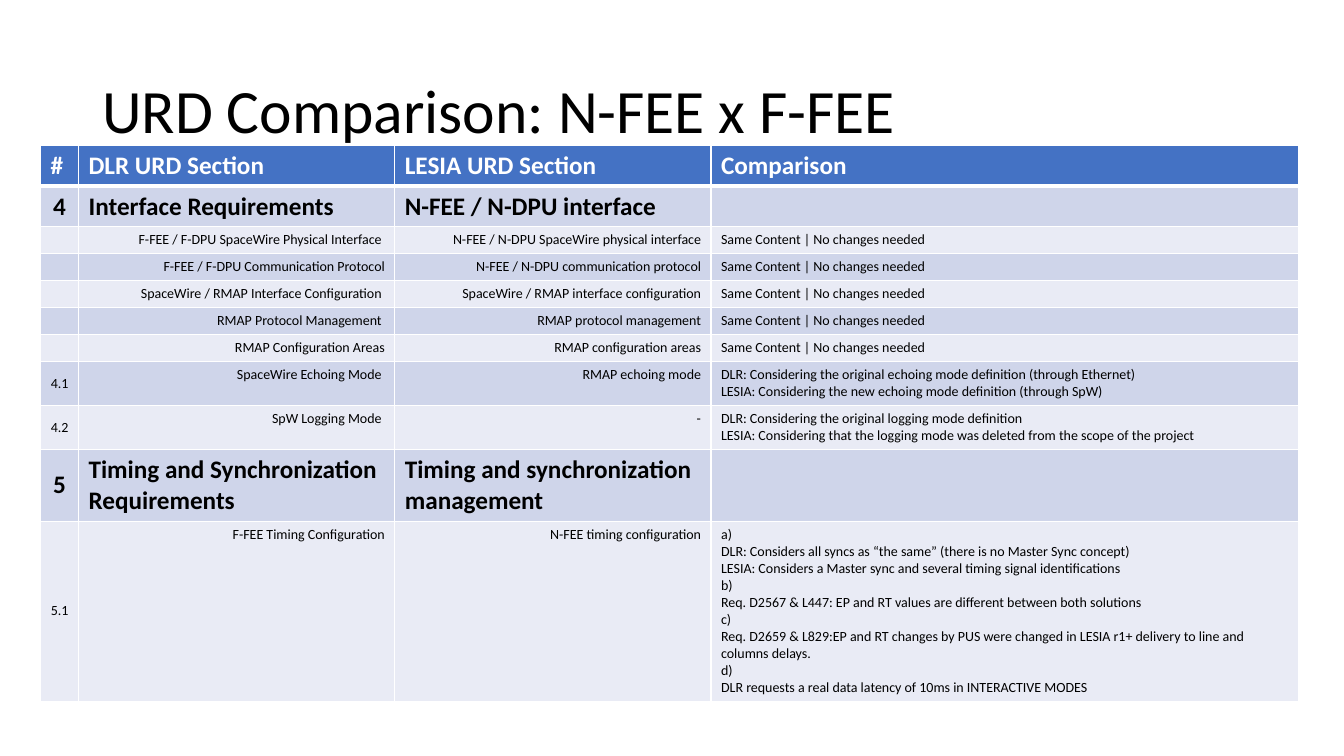
"""Builds the slide comparing the N-FEE and F-FEE user requirements documents."""
from lxml import etree
from pptx import Presentation
from pptx.dml.color import RGBColor
from pptx.enum import text
from pptx.oxml import ns
from pptx.util import Pt


def color(hex_code):
    return RGBColor.from_string(hex_code)


def add_border(cell, side, width):
    line = etree.SubElement(cell._tc.get_or_add_tcPr(), ns.qn(f"a:ln{side}"), w=str(Pt(width)))
    fill = etree.SubElement(line, ns.qn("a:solidFill"))
    etree.SubElement(fill, ns.qn("a:srgbClr"), val="FFFFFF")


SAME = "Same Content | No changes needed"
HEADER, SECTION, ITEM = "header", "section", "item"
requirements = [
    (HEADER, 29, "#", "DLR URD Section", "LESIA URD Section", "Comparison"),
    (SECTION, 28.8, "4", "Interface Requirements", "N-FEE / N-DPU interface", ""),
    (ITEM, 19.3, "", "F-FEE / F-DPU SpaceWire Physical Interface ",
     "N-FEE / N-DPU SpaceWire physical interface", SAME),
    (ITEM, 19.3, "", "F-FEE / F-DPU Communication Protocol",
     "N-FEE / N-DPU communication protocol", SAME),
    (ITEM, 19.3, "", "SpaceWire / RMAP Interface Configuration ",
     "SpaceWire / RMAP interface configuration", SAME),
    (ITEM, 19.3, "", "RMAP Protocol Management ", "RMAP protocol management", SAME),
    (ITEM, 19.3, "", "RMAP Configuration Areas", "RMAP configuration areas", SAME),
    (ITEM, 31.4, "4.1", "SpaceWire Echoing Mode ", "RMAP echoing mode",
     "DLR: Considering the original echoing mode definition (through Ethernet)\n"
     "LESIA: Considering the new echoing mode definition (through SpW)"),
    (ITEM, 31.4, "4.2", "SpW Logging Mode ", "-",
     "DLR: Considering the original logging mode definition\n"
     "LESIA: Considering that the logging mode was deleted from the scope of the project"),
    (SECTION, 51.4, "5", "Timing and Synchronization Requirements",
     "Timing and synchronization management", ""),
    (ITEM, 128.6, "5.1", "F-FEE Timing Configuration", "N-FEE timing configuration",
     "a)\n"
     "DLR: Considers all syncs as “the same” (there is no Master Sync concept)\n"
     "LESIA: Considers a Master sync and several timing signal identifications\n"
     "b)\n"
     "Req. D2567 & L447: EP and RT values are different between both solutions\n"
     "c)\n"
     "Req. D2659 & L829:EP and RT changes by PUS were changed in LESIA r1+ delivery "
     "to line and columns delays.\n"
     "d)\n"
     "DLR requests a real data latency of 10ms in INTERACTIVE MODES"),
]
formats = {
    HEADER: {"name": "Calibri", "size": Pt(18), "bold": True},
    SECTION: {"name": "Calibri", "size": Pt(18), "bold": True},
    ITEM: {"name": "Calibri", "size": Pt(10), "bold": False},
}
item_aligns = [text.PP_ALIGN.CENTER, text.PP_ALIGN.RIGHT, text.PP_ALIGN.RIGHT, text.PP_ALIGN.LEFT]
column_widths = [27.1, 225.9, 225.9, 420]

prs = Presentation()
prs.slide_width, prs.slide_height = Pt(960), Pt(540)
slide = prs.slides.add_slide(prs.slide_layouts[6])

title = slide.shapes.add_textbox(Pt(66), Pt(28.75), Pt(828), Pt(104.4)).text_frame
title.word_wrap = True
title.vertical_anchor = text.MSO_ANCHOR.MIDDLE
heading = title.paragraphs[0]
heading.line_spacing = 0.9
heading_run = heading.add_run()
heading_run.text = "URD Comparison: N-FEE x F-FEE"
heading_run.font.name = "Calibri"
heading_run.font.size = Pt(44)
heading_run.font.color.rgb = color("000000")

row_heights = [row[1] for row in requirements]
comparison = slide.shapes.add_table(
    len(requirements), len(column_widths),
    Pt(29), Pt(103.9), Pt(sum(column_widths)), Pt(sum(row_heights))).table
for column, width in zip(comparison.columns, column_widths):
    column.width = Pt(width)

for r, (level, height, *entries) in enumerate(requirements):
    comparison.rows[r].height = Pt(height)
    for c, entry in enumerate(entries):
        cell = comparison.cell(r, c)
        for side in "LRTB":
            under_header = (r, side) in [(0, "B"), (1, "T")]
            add_border(cell, side, 3 if under_header else 1)
        cell.fill.solid()
        banding = "CFD5EA" if r % 2 else "E9EBF5"
        cell.fill.fore_color.rgb = color("4472C4" if level == HEADER else banding)
        if c == 0 and level != HEADER:
            cell.vertical_anchor = text.MSO_ANCHOR.MIDDLE
        cell.text = entry
        for paragraph in cell.text_frame.paragraphs:
            if level == ITEM:
                paragraph.alignment = item_aligns[c]
            elif level == SECTION and c == 0:
                paragraph.alignment = text.PP_ALIGN.CENTER
            if not entry:
                size = formats[level]["size"].pt
                etree.SubElement(paragraph._p, ns.qn("a:endParaRPr"), sz=str(int(size * 100)))
            for run in paragraph.runs:
                for attribute, value in formats[level].items():
                    setattr(run.font, attribute, value)
                run.font.color.rgb = color("FFFFFF" if level == HEADER else "000000")

prs.save("out.pptx")
